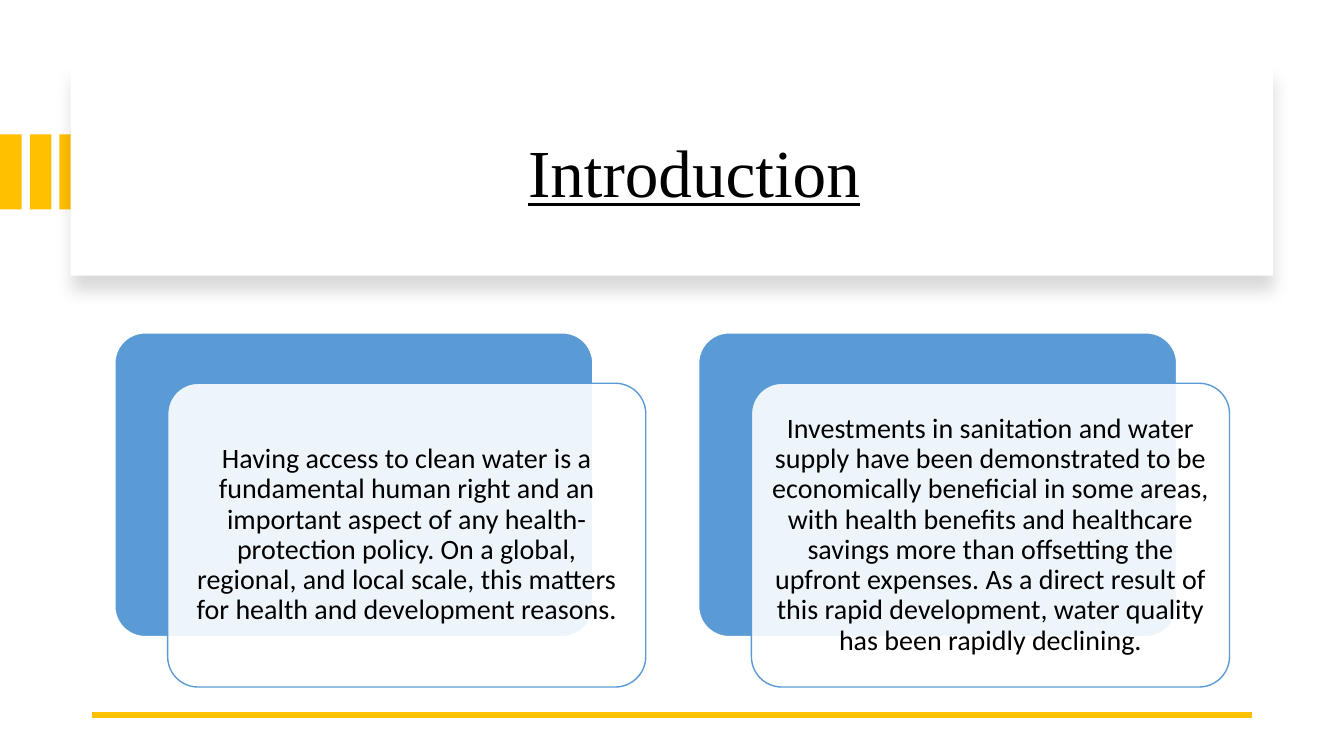
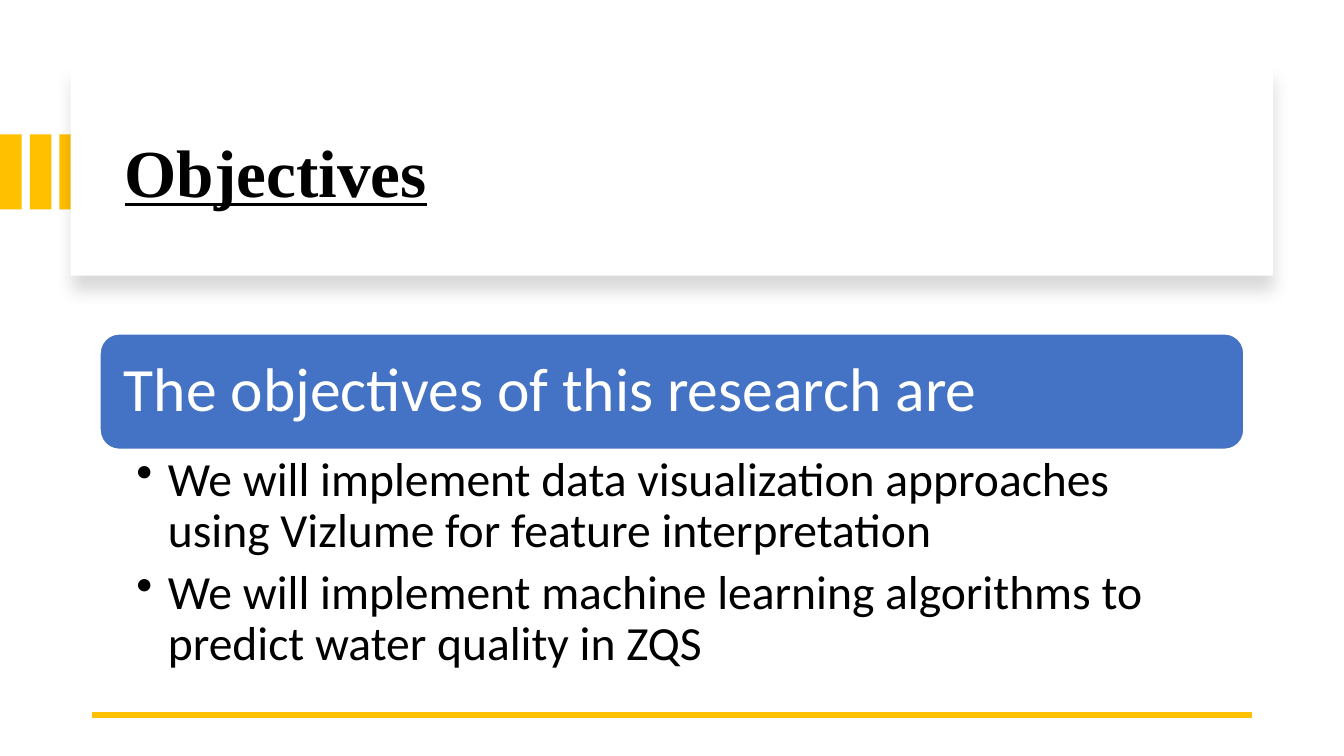
from lxml import etree
from pptx import Presentation
from pptx.dml.color import RGBColor
from pptx.enum.shapes import MSO_CONNECTOR, MSO_SHAPE
from pptx.enum.text import MSO_ANCHOR as Anchor, PP_ALIGN as Align
from pptx.oxml import parse_xml
from pptx.oxml.ns import nsdecls, qn
from pptx.util import Pt

GOLD = RGBColor(0xFF, 0xC0, 0x00)
SKY = RGBColor(0x5B, 0x9B, 0xD5)
BLUE = RGBColor(0x44, 0x72, 0xC4)
WHITE = RGBColor(0xFF, 0xFF, 0xFF)
BLACK = RGBColor(0x00, 0x00, 0x00)

TITLE_FONT = "Times New Roman"
BODY_FONT = "Calibri"


class Deck:
    """Holds the style and the current page."""

    def __init__(self):
        self.deck = Presentation()
        self.deck.slide_width, self.deck.slide_height = Pt(960), Pt(540)
        self.page = None

    def box(self, kind, left, top, width, height, fill, line=None):
        box = self.page.shapes.add_shape(
            kind, Pt(left), Pt(top), Pt(width), Pt(height))
        box.shadow.inherit = False
        box.fill.solid()
        box.fill.fore_color.rgb = fill
        if line is None:
            box.line.fill.background()
        else:
            box.line.color.rgb = line
            box.line.width = Pt(1)
        return box

    def text_box(self, left, top, width, height):
        return self.page.shapes.add_textbox(
            Pt(left), Pt(top), Pt(width), Pt(height))

    def set_text(self, box, text, size, margins, color=BLACK, font=BODY_FONT,
                 align=Align.LEFT, anchor=Anchor.MIDDLE, bold=False,
                 underline=False):
        """Fill a box with text; margins are left, top, right, bottom."""
        frame = box.text_frame
        frame.word_wrap = True
        frame.vertical_anchor = anchor
        (frame.margin_left, frame.margin_top,
         frame.margin_right, frame.margin_bottom) = map(Pt, margins)
        frame.text = text
        for para in frame.paragraphs:
            para.alignment = align
            para.line_spacing = 0.9
            for span in para.runs:
                span.font.name = font
                span.font.size = Pt(size)
                span.font.color.rgb = color
                span.font.bold = bold
                span.font.underline = underline
        return frame

    def add_page(self, title, indent=0, bold=False):
        self.page = self.deck.slides.add_slide(self.deck.slide_layouts[6])
        # Gold stripes, partly behind the title card
        for index in range(3):
            self.box(MSO_SHAPE.RECTANGLE, index * 21.25, 96, 15.5, 53.5, GOLD)
        # Title card with a soft shadow
        card = self.box(MSO_SHAPE.RECTANGLE, 50.5, 48, 859, 149, WHITE)
        effects = card._element.spPr.find(qn("a:effectLst"))
        effects.append(parse_xml(
            f'<a:outerShdw {nsdecls("a")} blurRad="{Pt(11)}" dist="{Pt(10)}" '
            'dir="5400000" algn="t" rotWithShape="0"><a:srgbClr val="000000">'
            '<a:alpha val="15000"/></a:srgbClr></a:outerShdw>'))
        self.set_text(self.text_box(82, 64, 801.5, 122.5), title, 48,
                      (7.2 + indent, 3.6, 7.2, 3.6), font=TITLE_FONT,
                      bold=bold, underline=True)
        # Bottom rule
        rule = self.page.shapes.add_connector(
            MSO_CONNECTOR.STRAIGHT, Pt(894), Pt(510.5), Pt(66), Pt(510.5))
        rule.line.color.rgb = GOLD
        rule.line.width = Pt(4.5)
        etree.SubElement(rule._element.spPr, qn("a:effectLst"))

    def layered_card(self, left, top, text):
        """A solid card with a translucent text card stepped over it."""
        width, height = 341.5, 217
        back = self.box(MSO_SHAPE.ROUNDED_RECTANGLE, left, top,
                        width, height, SKY, WHITE)
        front = self.box(MSO_SHAPE.ROUNDED_RECTANGLE, left + 37.75, top + 36,
                         width, height, WHITE, SKY)
        for card in (back, front):
            card.adjustments[0] = 0.1
        color = front._element.spPr.find(qn("a:solidFill"))[0]
        etree.SubElement(color, qn("a:alpha"), val="90000")
        self.set_text(front, text, 20, (6, 6, 6, 6), align=Align.CENTER)

    def heading_bar(self, left, top, width, height, text):
        bar = self.box(MSO_SHAPE.ROUNDED_RECTANGLE, left, top,
                       width, height, BLUE, WHITE)
        self.set_text(bar, text, 44, (13, 13, 13, 13), color=WHITE)

    def bullets(self, left, top, width, height, items):
        frame = self.set_text(self.text_box(left, top, width, height),
                              "\n".join(items), 34, (26, 4.3, 24.5, 4.3),
                              anchor=Anchor.TOP)
        for para in frame.paragraphs:
            para.space_after = Pt(7)
            props = para._p.get_or_add_pPr()
            props.set("marL", str(Pt(22.5)))
            props.set("indent", str(Pt(-22.5)))
            etree.SubElement(props, qn("a:buChar"), char="•")


def main():
    deck = Deck()

    # Introduction
    deck.add_page("Introduction", indent=288)
    reasons = [
        "Having access to clean water is a fundamental human right and an "
        "important aspect of any health-protection policy. On a global, "
        "regional, and local scale, this matters for health and development "
        "reasons.",
        "Investments in sanitation and water supply have been demonstrated to "
        "be economically beneficial in some areas, with health benefits and "
        "healthcare savings more than offsetting the upfront expenses. As a "
        "direct result of this rapid development, water quality has been "
        "rapidly declining.",
    ]
    for index, reason in enumerate(reasons):
        deck.layered_card(82 + index * 417, 237.75, reason)

    # Objectives
    deck.add_page("Objectives", bold=True)
    deck.heading_bar(71.5, 238.5, 817, 82.5,
                     "The objectives of this research are")
    deck.bullets(71.5, 321, 817, 168.5, [
        "We will implement data visualization approaches using Vizlume for "
        "feature interpretation",
        "We will implement machine learning algorithms to predict water "
        "quality in ZQS",
    ])

    deck.deck.save("out.pptx")


if __name__ == "__main__":
    main()
